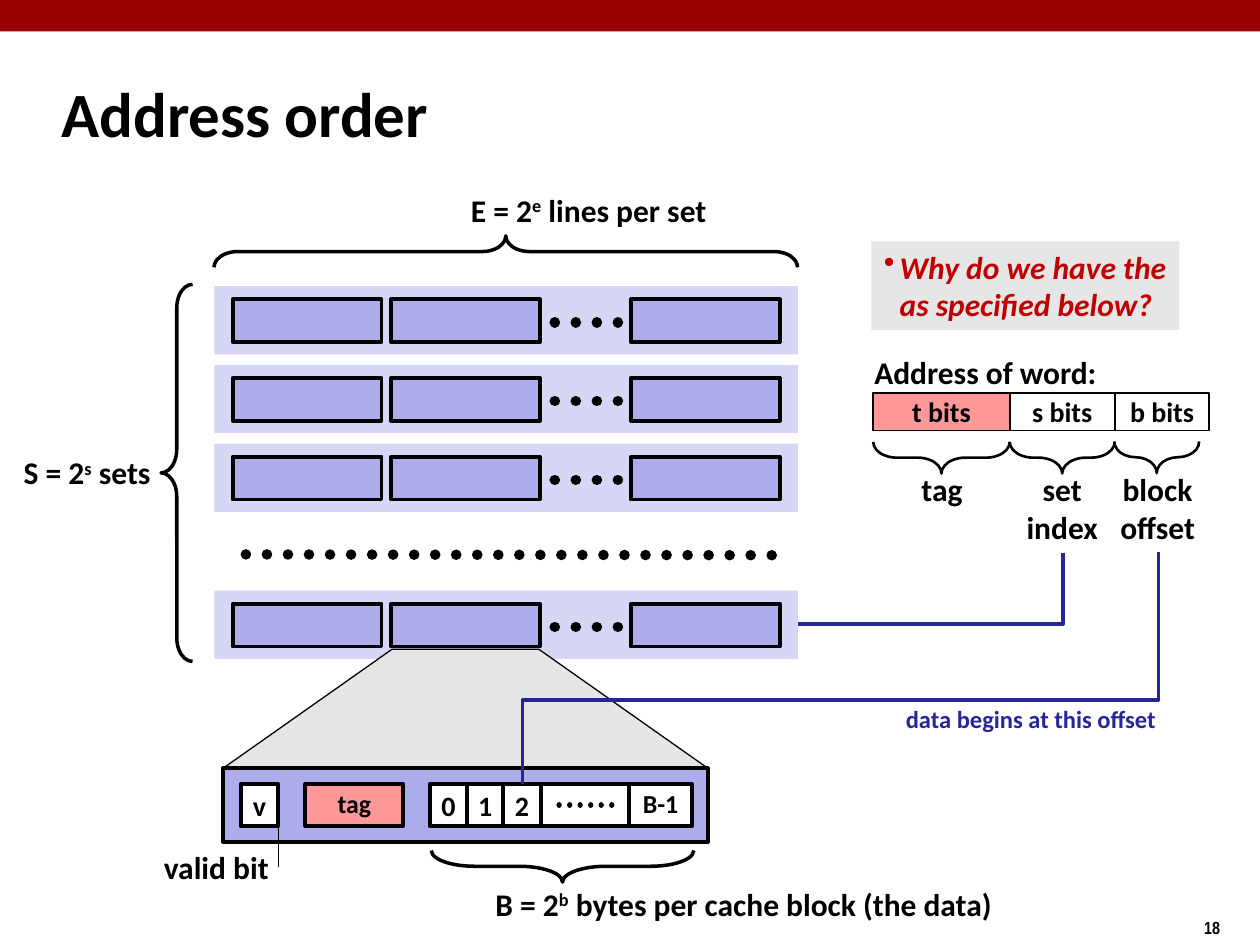
"""Build a slide that relates a word's address bits to the parts of a set-associative cache."""
from lxml import etree
from pptx import Presentation
from pptx import util as u
from pptx.dml.color import RGBColor
from pptx.enum import dml, shapes, text
from pptx.oxml.ns import qn

Pt = u.Pt
RECT = shapes.MSO_SHAPE.RECTANGLE
BRACE = shapes.MSO_SHAPE.LEFT_BRACE
BLACK, WHITE, RED, BLUE = "000000", "FFFFFF", "C00000", "262699"
LILAC, PALE, PINK, GREY = "ADADEB", "D6D6F5", "FF9999", "E6E6E6"


def box(parent, kind, x, y, w, h, fill=None, line=None, width=2.25, label="", size=18,
        color=BLACK, font="Calibri", center=True, wrap=False, spacing=None):
    """Add a preset shape, or a text box when kind is None, with bold text."""
    frame = Pt(x), Pt(y), Pt(w), Pt(h)
    if kind is None:
        s = parent.add_textbox(*frame)
    else:
        s = parent.add_shape(kind, *frame)
        s.shadow.inherit = False
    if fill:
        s.fill.solid()
        s.fill.fore_color.rgb = RGBColor.from_string(fill)
    else:
        s.fill.background()
    if line:
        s.line.color.rgb = RGBColor.from_string(line)
        s.line.width = Pt(width)
    else:
        s.line.fill.background()
    if not label:
        return s
    tf = s.text_frame
    tf.word_wrap = wrap
    if kind is not None:
        tf.vertical_anchor = text.MSO_ANCHOR.MIDDLE
        tf.margin_left = tf.margin_right = tf.margin_top = tf.margin_bottom = 0
    elif not wrap:
        tf.auto_size = text.MSO_AUTO_SIZE.SHAPE_TO_FIT_TEXT
    base, mark, rest = label.partition("^")
    tf.text = base
    if mark:
        p = tf.paragraphs[0]
        p.add_run().text = rest[0]
        p.runs[1]._r.get_or_add_rPr().set("baseline", "30000")
        p.add_run().text = rest[1:]
    for p in tf.paragraphs:
        p.alignment = text.PP_ALIGN.CENTER if center else text.PP_ALIGN.LEFT
        if spacing:
            p.line_spacing = spacing
        for r in p.runs:
            r.font.name, r.font.size, r.font.bold = font, Pt(size), True
            r.font.color.rgb = RGBColor.from_string(color)
    return s


def line(parent, x1, y1, x2, y2, width, color=BLACK, dots=False,
         kind=shapes.MSO_CONNECTOR.STRAIGHT):
    """Add a connector, dotted with round caps on request."""
    c = parent.add_connector(kind, Pt(x1), Pt(y1), Pt(x2), Pt(y2))
    c.line.color.rgb = RGBColor.from_string(color)
    c.line.width = Pt(width)
    if dots:
        c.line.dash_style = dml.MSO_LINE.ROUND_DOT
        c.line._get_or_add_ln().set("cap", "rnd")
    etree.SubElement(c._element.spPr, qn("a:effectLst"))
    return c


prs = Presentation()
prs.slide_width, prs.slide_height = Pt(720), Pt(540)
slide = prs.slides.add_slide(prs.slide_layouts[6])
sp = slide.shapes

box(sp, RECT, 0, 0, 720, 18, fill="990000")
box(sp, None, 681, 520.5, 54, 19.5, label="18", size=10, font="Arial Narrow",
    center=False, wrap=True)
s = box(sp, None, 28, 34, 598, 60, label="Address order", size=36, center=False, wrap=True)
s.text_frame.vertical_anchor = text.MSO_ANCHOR.MIDDLE

for y in (163.5, 208.5, 253.5, 337.5):
    row = sp.add_group_shape().shapes
    box(row, RECT, 122.5, y, 333.5, 39, fill=PALE)
    for x in (133, 223.5, 360.5):
        box(row, RECT, x, y + 7.5, 85, 24.5, LILAC, BLACK)
    line(row, 317, y + 20.7, 361, y + 20.7, 6, dots=True)
line(sp, 140.5, 316.8, 445.7, 317.3, 6, dots=True)

box(sp, shapes.MSO_SHAPE.TRAPEZOID, 127.5, 371, 277, 68, GREY, BLACK, 0.75).adjustments[0] = 1.42
box(sp, RECT, 127.5, 439, 277, 42, LILAC, BLACK)
for x, w, label, fill, size, spacing in (
        (245.5, 21.5, "0", WHITE, 16, None), (267, 20.5, "1", WHITE, 16, None),
        (287.5, 21.5, "2", WHITE, 16, None), (359.5, 36, "B-1", WHITE, 14.8, 0.9),
        (309, 50.5, "", WHITE, 16, None), (174.5, 56, "tag", PINK, 14.8, 0.9),
        (137.5, 21.5, "v", WHITE, 16, None)):
    box(sp, RECT, x, 448, w, 24, fill, BLACK, label=label, size=size, spacing=spacing)
line(sp, 319.5, 460, 355.5, 460, 3, dots=True)
line(sp, 159, 495.5, 159, 471.5, 0.75)

for x, w, label, fill in ((499, 78, "t bits", PINK), (577, 60, "s bits", WHITE),
                          (637, 54, "b bits", WHITE)):
    box(sp, RECT, x, 224.5, w, 21.5, fill, BLACK, 1, label, 16)

for x, y, length, angle, width, adj in (
        (280, -23, 333.5, 90, 2, 0.75), (92, 162.5, 215.5, 0, 2, 0.75),
        (312.5, 420, 150, 270, 2, 1.37), (529, 222.5, 78, 270, 1.5, 0.75),
        (598, 231.5, 60, 270, 1.5, 0.75), (652, 237, 48.5, 270, 1.5, 0.75)):
    s = box(sp, BRACE, x, y, 18, length, line=BLACK, width=width)
    s.rotation = angle
    s.adjustments[0] = adj

for x, y, w, h, label, center in (
        (262, 105.5, 151, 29, "E = 2^e lines per set", False),
        (6.5, 255.5, 89, 29, "S = 2^s sets", False),
        (86.5, 481, 76, 29, "valid bit", False),
        (276, 502, 300, 29, "B = 2^b bytes per cache block (the data)", False),
        (492.5, 198, 143, 29, "Address of word:", False),
        (519.5, 265, 39, 29, "tag", False),
        (579, 265, 56, 50.5, "set\nindex", True),
        (632.5, 265, 58, 50.5, "block\noffset", True)):
    box(sp, None, x, y, w, h, label=label, center=center)

for x, y, w, h, preset, adj in ((511.2, 260.5, 41, 151.5, "bentConnector2", None),
                                (414, 200, 132.5, 363.5, "bentConnector3", 63800)):
    c = line(sp, x, y, x + w, y + h, 2, BLUE, kind=shapes.MSO_CONNECTOR.ELBOW)
    c._element.spPr.find(qn("a:xfrm")).set("rot", "5400000")
    geom = c._element.spPr.find(qn("a:prstGeom"))
    geom.set("prst", preset)
    if adj:
        guide = etree.SubElement(geom.find(qn("a:avLst")), qn("a:gd"))
        guide.set("name", "adj1")
        guide.set("fmla", f"val {adj}")
box(sp, None, 510.5, 398.5, 159, 24, label="data begins at this offset", size=14,
    color=BLUE, center=False)

s = box(sp, None, 498, 138, 176, 50.5, fill=GREY, center=False, wrap=True, color=RED,
        label="Why do we have the\vas specified below?")
s.text_frame.margin_right = 0
p = s.text_frame.paragraphs[0]
pPr = p._p.get_or_add_pPr()
pPr.set("marL", str(Pt(9)))
pPr.set("indent", str(-Pt(9)))
etree.SubElement(etree.SubElement(pPr, qn("a:buClr")), qn("a:srgbClr")).set("val", RED)
etree.SubElement(pPr, qn("a:buChar")).set("char", "•")
for r in p.runs:
    r.font.italic = True

prs.save("out.pptx")
